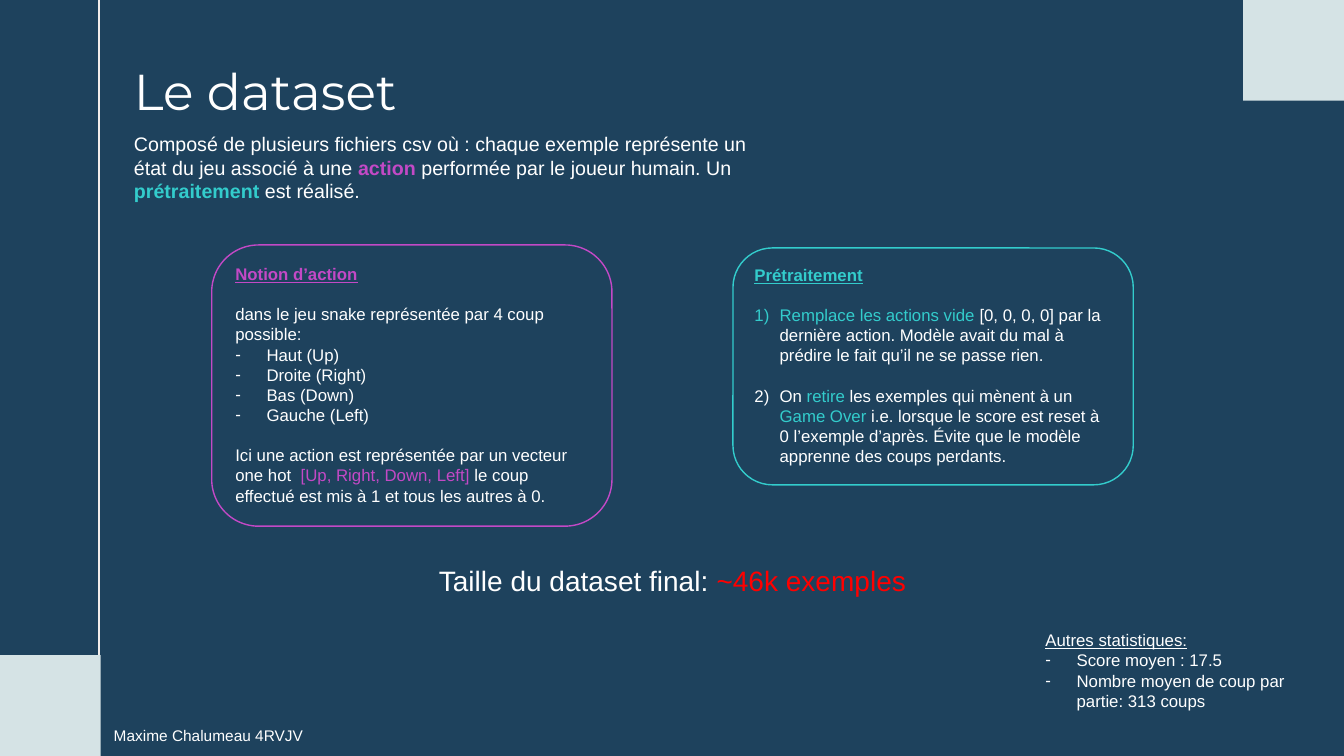
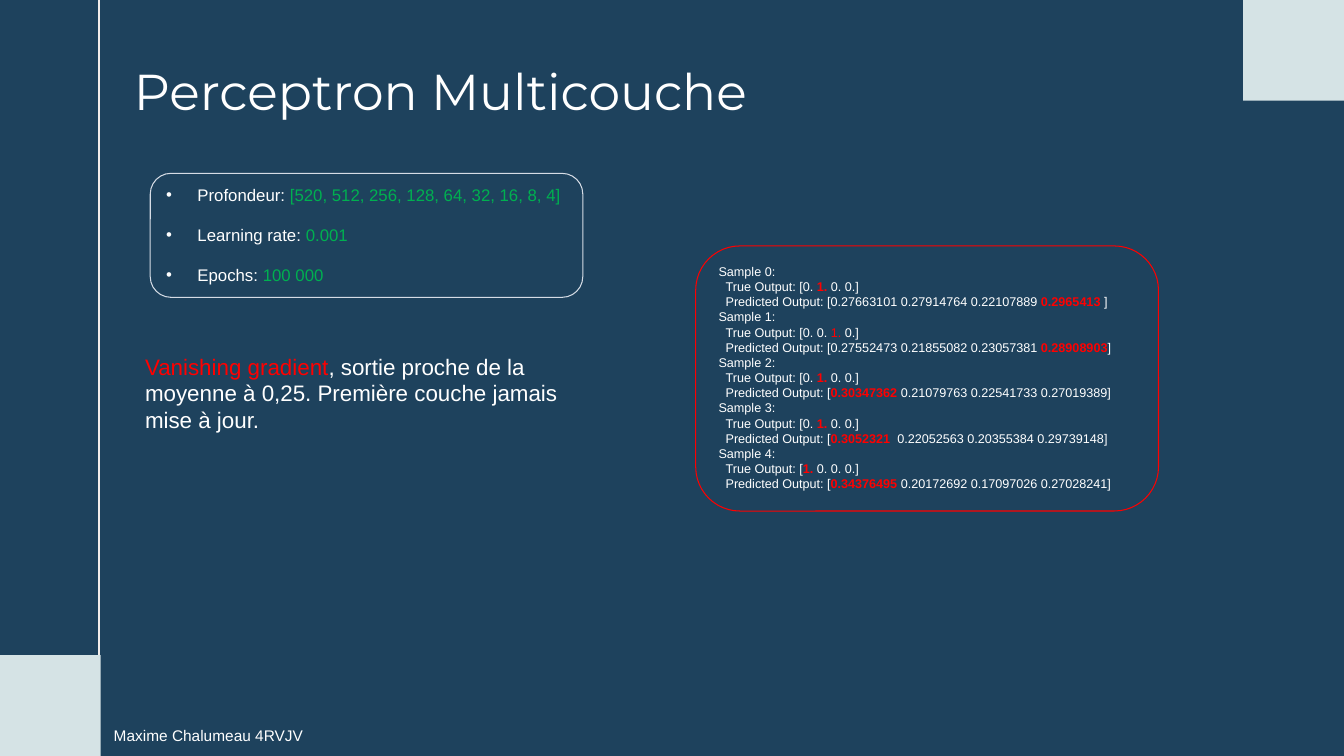
from dataclasses import dataclass
from enum import Enum
from typing import NamedTuple, Optional

from lxml.etree import SubElement
from pptx import Presentation
from pptx.dml.color import RGBColor
from pptx.enum.shapes import MSO_CONNECTOR, MSO_SHAPE
from pptx.enum.text import MSO_ANCHOR, PP_ALIGN
from pptx.oxml.ns import qn
from pptx.slide import Slide
from pptx.text.text import TextFrame
from pptx.util import Inches, Pt

NAVY = RGBColor(0x1E, 0x42, 0x5D)
MIST = RGBColor(0xD5, 0xE3, 0xE5)
CREAM = RGBColor(0xF3, 0xED, 0xEA)
SILVER = RGBColor(0xD6, 0xDC, 0xE5)
WHITE = RGBColor(0xFF, 0xFF, 0xFF)
PURPLE = RGBColor(0xC3, 0x49, 0xC6)
TEAL = RGBColor(0x33, 0xCC, 0xCC)
RED = RGBColor(0xFF, 0x00, 0x00)
GREEN = RGBColor(0x00, 0xB0, 0x50)

BODY_FONT = "Arial"
TITLE_FONT = "Montserrat"
WIDTH, HEIGHT = 13.33, 7.5
CORNER = 1.0
RULE_X = 0.98
LINE_FACTOR = 1.2


class Bullet(Enum):
    DASH = "-"
    DOT = "•"
    NUMBER = "arabicParenR"


class Box(NamedTuple):
    left: float
    top: float
    width: float
    height: float


class Span(NamedTuple):
    text: str
    color: RGBColor = WHITE
    bold: bool = False
    underline: bool = False


@dataclass(frozen=True)
class Para:
    spans: list[Span]
    bullet: Optional[Bullet] = None
    indent: float = 0
    skip_line: bool = False


@dataclass(frozen=True)
class Block:
    box: Box
    paras: list[Para]
    size: float
    outline: Optional[RGBColor] = None
    outline_width: float = 1
    align: PP_ALIGN = PP_ALIGN.LEFT
    font: str = BODY_FONT
    anchor: MSO_ANCHOR = MSO_ANCHOR.TOP
    line_spacing: float = 1.0


@dataclass(frozen=True)
class Sample:
    truth: tuple[str, str, str]
    predicted: tuple[str, str, str]
    bold_truth: bool = True


def bulleted(bullet: Bullet, *spans: Span, skip_line: bool = False) -> Para:
    indent = 0.25 if bullet is Bullet.NUMBER else 0.31
    return Para(list(spans), bullet, indent, skip_line)


def heading(text: str, color: RGBColor, bold: bool = True) -> Para:
    return Para([Span(text, color, bold, True)])


def write(frame: TextFrame, block: Block) -> None:
    frame.word_wrap = True
    frame.vertical_anchor = block.anchor
    for index, para in enumerate(block.paras):
        paragraph = frame.add_paragraph() if index else frame.paragraphs[0]
        paragraph.alignment = block.align
        paragraph.line_spacing = block.line_spacing
        if para.skip_line:
            paragraph.space_before = Pt(block.size * LINE_FACTOR)
        properties = paragraph._p.get_or_add_pPr()
        if para.indent:
            properties.set("marL", str(Inches(para.indent)))
        if para.bullet:
            properties.set("indent", str(-Inches(para.indent)))
            SubElement(properties, qn("a:buFont"), typeface=BODY_FONT)
            if para.bullet is Bullet.NUMBER:
                SubElement(properties, qn("a:buAutoNum"), type=para.bullet.value)
            else:
                SubElement(properties, qn("a:buChar"), char=para.bullet.value)
        for span in para.spans:
            run = paragraph.add_run()
            run.text = span.text
            run.font.name = block.font
            run.font.size = Pt(block.size)
            run.font.bold = span.bold
            run.font.underline = span.underline
            run.font.color.rgb = span.color


def draw_block(slide: Slide, block: Block) -> None:
    place = [Inches(length) for length in block.box]
    if block.outline is None:
        shape = slide.shapes.add_textbox(*place)
    else:
        shape = slide.shapes.add_shape(MSO_SHAPE.ROUNDED_RECTANGLE, *place)
        shape.shadow.inherit = False
        shape.fill.background()
        shape.line.color.rgb = block.outline
        shape.line.width = Pt(block.outline_width)
    write(shape.text_frame, block)


def draw_corner(slide: Slide, left: float, top: float) -> None:
    corner = slide.shapes.add_shape(
        MSO_SHAPE.RECTANGLE, Inches(left), Inches(top), Inches(CORNER), Inches(CORNER)
    )
    corner.shadow.inherit = False
    corner.fill.solid()
    corner.fill.fore_color.rgb = MIST
    corner.line.fill.background()


def draw_rule(slide: Slide) -> None:
    rule = slide.shapes.add_connector(
        MSO_CONNECTOR.STRAIGHT, Inches(RULE_X), Inches(0), Inches(RULE_X), Inches(HEIGHT)
    )
    rule.line.color.rgb = CREAM
    rule.line.width = Pt(1.5)
    SubElement(rule._element.spPr, qn("a:effectLst"))


def add_content_slide(prs: Presentation, title: str, blocks: list[Block]) -> None:
    slide = prs.slides.add_slide(prs.slide_layouts[6])
    slide.background.fill.solid()
    slide.background.fill.fore_color.rgb = NAVY
    draw_rule(slide)
    draw_corner(slide, 0, HEIGHT - CORNER)
    draw_corner(slide, WIDTH - CORNER, 0)
    footer = Block(Box(1.03, 7.15, 2.6, 0.29), [Para([Span("Maxime Chalumeau 4RVJV")])], 11)
    header = Block(
        Box(1.23, 0.55, 8.45, 0.77), [Para([Span(title)])], 36,
        font=TITLE_FONT, anchor=MSO_ANCHOR.MIDDLE, line_spacing=0.9,
    )
    for block in [footer, header, *blocks]:
        draw_block(slide, block)


def sample_paras(samples: list[Sample]) -> list[Para]:
    paras = []
    for number, sample in enumerate(samples):
        paras.append(Para([Span(f"Sample {number}:")]))
        for label, (before, peak, after), bold in (
            ("True", sample.truth, sample.bold_truth),
            ("Predicted", sample.predicted, True),
        ):
            spans = [Span(f"{label} Output: [{before}"), Span(peak, RED, bold), Span(after)]
            paras.append(Para(spans, indent=0.07))
    return paras


DATASET = [
    Block(Box(1.23, 1.26, 6.58, 0.81), [Para([
        Span("Composé de plusieurs fichiers csv où : chaque exemple représente un état du jeu associé à une "),
        Span("action", PURPLE, True),
        Span(" performée par le joueur humain. Un "),
        Span("prétraitement", TEAL, True),
        Span(" est réalisé."),
    ])], 14),
    Block(Box(2.1, 2.43, 3.97, 2.79), [
        heading("Notion d’action", PURPLE),
        Para([Span("dans le jeu snake représentée par 4 coup possible:")], skip_line=True),
        *(bulleted(Bullet.DASH, Span(move))
          for move in ("Haut (Up)", "Droite (Right)", "Bas (Down)", "Gauche (Left)")),
        Para([
            Span("Ici une action est représentée par un vecteur one hot  "),
            Span("[Up, Right, Down, Left] ", PURPLE),
            Span("le coup effectué est mis à 1 et tous les autres à 0."),
        ], skip_line=True),
    ], 12, PURPLE),
    Block(Box(7.27, 2.46, 3.97, 2.35), [
        heading("Prétraitement", TEAL),
        bulleted(
            Bullet.NUMBER,
            Span("Remplace les actions vide", TEAL),
            Span(" [0, 0, 0, 0] par la dernière action. Modèle avait du mal à prédire "
                 "le fait qu’il ne se passe rien."),
            skip_line=True,
        ),
        bulleted(
            Bullet.NUMBER,
            Span("On "),
            Span("retire", TEAL),
            Span(" les exemples qui mènent à un "),
            Span("Game Over", TEAL),
            Span(" i.e. lorsque le score est reset à 0 l’exemple d’après. "
                 "Évite que le modèle apprenne des coups perdants."),
            skip_line=True,
        ),
    ], 12, TEAL),
    Block(Box(2.97, 5.54, 7.4, 0.44), [
        Para([Span("Taille du dataset final: "), Span("~46k exemples", RED)]),
    ], 20, align=PP_ALIGN.CENTER),
    Block(Box(10.27, 6.2, 2.6, 0.91), [
        heading("Autres statistiques:", WHITE, bold=False),
        bulleted(Bullet.DASH, Span("Score moyen : 17.5")),
        bulleted(Bullet.DASH, Span("Nombre moyen de coup par partie: 313 coups")),
    ], 12),
]

SETTINGS = [
    ("Profondeur: ", "[520, 512, 256, 128, 64, 32, 16, 8, 4]"),
    ("Learning rate: ", "0.001"),
    ("Epochs: ", "100 000"),
]

SAMPLES = [
    Sample(("0. ", "1.", " 0. 0.]"),
           ("0.27663101 0.27914764 0.22107889 ", "0.2965413", " ]")),
    Sample(("0. 0. ", "1.", " 0.]"),
           ("0.27552473 0.21855082 0.23057381 ", "0.28908903", "]"), bold_truth=False),
    Sample(("0. ", "1.", " 0. 0.]"),
           ("", "0.30347362", " 0.21079763 0.22541733 0.27019389]")),
    Sample(("0. ", "1.", " 0. 0.]"),
           ("", "0.3052321", "  0.22052563 0.20355384 0.29739148]")),
    Sample(("", "1.", " 0. 0. 0.]"),
           ("", "0.34376495", " 0.20172692 0.17097026 0.27028241]")),
]

PERCEPTRON = [
    Block(Box(1.49, 1.72, 4.29, 1.23), [
        bulleted(Bullet.DOT, Span(label), Span(value, GREEN), skip_line=index > 0)
        for index, (label, value) in enumerate(SETTINGS)
    ], 12, SILVER, 0.75),
    Block(Box(1.34, 3.45, 4.59, 0.91), [Para([
        Span("Vanishing gradient", RED),
        Span(", sortie proche de la moyenne à 0,25. Première couche jamais mise à jour."),
    ])], 16),
    Block(Box(6.9, 2.44, 4.59, 2.63), sample_paras(SAMPLES), 9, RED, 0.75),
]


def main() -> None:
    prs = Presentation()
    prs.slide_width = Inches(WIDTH)
    prs.slide_height = Inches(HEIGHT)
    add_content_slide(prs, "Le dataset", DATASET)
    add_content_slide(prs, "Perceptron Multicouche", PERCEPTRON)
    prs.save("out.pptx")


if __name__ == "__main__":
    main()
